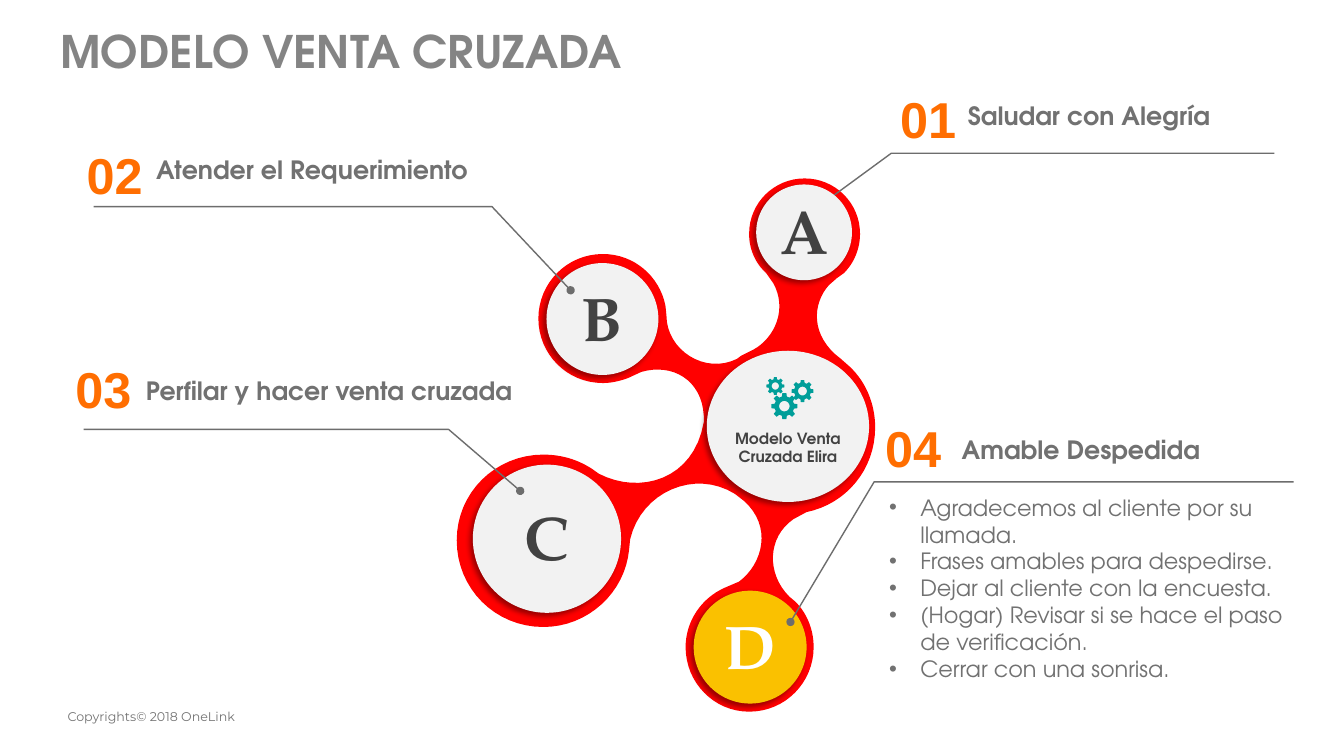
from math import cos, pi, sin

from lxml import etree
from pptx import Presentation
from pptx.dml.color import RGBColor
from pptx.enum.shapes import MSO_SHAPE
from pptx.enum.text import MSO_ANCHOR, PP_ALIGN
from pptx.oxml.ns import qn
from pptx.util import Inches, Pt

OVAL = MSO_SHAPE.OVAL
TOP, MIDDLE = MSO_ANCHOR.TOP, MSO_ANCHOR.MIDDLE
LEFT, CENTER = PP_ALIGN.LEFT, PP_ALIGN.CENTER

RED = RGBColor(0xFF, 0x00, 0x00)
PALE = RGBColor(0xF2, 0xF2, 0xF2)
GOLD = RGBColor(0xFA, 0xC1, 0x00)
WHITE = RGBColor(0xFF, 0xFF, 0xFF)
DARK = RGBColor(0x42, 0x42, 0x42)
ORANGE = RGBColor(0xFF, 0x6E, 0x01)
GRAY = RGBColor(0x71, 0x71, 0x71)
HEAD = RGBColor(0x84, 0x84, 0x84)
FOOT = RGBColor(0x73, 0x73, 0x73)
RULE = RGBColor(0x6D, 0x6D, 0x6D)
TEAL = RGBColor(0x00, 0x9E, 0x99)

SANS, SERIF = "TeX Gyre Adventor", "TeX Gyre Pagella"
INSETS = (0.1, 0.05, 0.1, 0.05)

# Outline of the arms: two numbers make a line, six a Bézier curve.
ARMS = [
    (3.98, 0.77), (4.28, 0.77, 4.53, 1.01, 4.53, 1.32),
    (4.53, 1.47, 4.47, 1.61, 4.37, 1.71), (4.3, 1.76), (4.22, 1.83),
    (4.06, 2.01, 4.03, 2.33, 4.34, 2.56), (4.43, 2.64),
    (4.59, 2.79, 4.68, 3.01, 4.68, 3.24), (4.68, 3.66, 4.39, 4, 4, 4.08),
    (3.87, 4.15), (3.61, 4.33, 3.6, 4.69, 3.83, 4.92), (3.89, 4.97),
    (4, 5.08, 4.07, 5.24, 4.07, 5.42), (4.07, 5.77, 3.79, 6.06, 3.43, 6.06),
    (3.08, 6.06, 2.8, 5.77, 2.8, 5.42), (2.8, 5.16, 2.96, 4.93, 3.19, 4.83),
    (3.33, 4.77), (3.57, 4.59, 3.66, 4.22, 3.38, 3.97), (3.29, 3.9),
    (2.89, 3.65, 2.36, 3.88, 2.25, 4.35), (2.24, 4.45),
    (2.2, 4.88, 1.83, 5.22, 1.39, 5.22), (0.91, 5.22, 0.53, 4.84, 0.53, 4.36),
    (0.53, 3.89, 0.91, 3.51, 1.39, 3.51), (1.57, 3.51, 1.73, 3.56, 1.87, 3.65),
    (1.94, 3.7), (2.35, 3.91, 2.88, 3.76, 2.98, 3.19), (2.98, 3.12),
    (2.96, 2.77, 2.67, 2.6, 2.36, 2.69), (2.23, 2.75),
    (2.15, 2.78, 2.06, 2.8, 1.98, 2.8), (1.62, 2.8, 1.34, 2.51, 1.34, 2.16),
    (1.34, 1.81, 1.62, 1.52, 1.98, 1.52), (2.29, 1.52, 2.54, 1.74, 2.6, 2.03),
    (2.61, 2.13), (2.61, 2.47, 2.99, 2.72, 3.31, 2.56), (3.35, 2.53),
    (3.47, 2.47), (3.69, 2.35, 3.81, 2.06, 3.67, 1.81), (3.6, 1.71),
    (3.49, 1.61, 3.43, 1.47, 3.43, 1.32), (3.43, 1.01, 3.68, 0.77, 3.98, 0.77),
]
DISCS = [
    ("A", 3.5, 0.83, 0.95, PALE, DARK),
    ("B", 1.42, 1.61, 1.11, PALE, DARK),
    ("C", 0.69, 3.61, 1.47, PALE, DARK),
    ("D", 2.88, 4.86, 1.12, GOLD, WHITE),
]
GEARS = [(0.68, 0.35, 0.09), (0.95, 0.4, 0.11), (0.77, 0.55, 0.13)]
# Corner, number, caption, caption box, then tip, bend and end of the line.
STEPS = [
    (8.83, 0.83, "01", "Saludar con Alegría", (0.67, 0.12, 2.81),
     [(-0.74, 1.24), (0.01, 0.69), (3.81, 0.69)]),
    (0.76, 1.38, "02", "Atender el Requerimiento", (0.69, 0.1, 3.32),
     [(4.9, 1.5), (4.12, 0.67), (0.17, 0.67)]),
    (0.65, 3.5, "03", "Perfilar y hacer venta cruzada", (0.7, 0.17, 4.33),
     [(4.51, 1.37), (3.8, 0.76), (0.18, 0.76)]),
    (8.68, 4.09, "04", "Amable Despedida", (0.76, 0.17, 3.15),
     [(-0.84, 2.08), (-0.01, 0.69), (4.15, 0.69)]),
]
TASKS = [
    "Agradecemos al cliente por su llamada.",
    "Frases amables para despedirse.",
    "Dejar al cliente con la encuesta.",
    "(Hogar) Revisar si se hace el paso de verificación.",
    "Cerrar con una sonrisa.",
]


def write(shape, text, size, color, font=SANS, bold=True, align=LEFT,
          anchor=TOP, insets=INSETS, bullet=False, space=None):
    frame = shape.text_frame
    frame.word_wrap = True
    frame.vertical_anchor = anchor
    (frame.margin_left, frame.margin_top,
     frame.margin_right, frame.margin_bottom) = map(Inches, insets)
    frame.text = text
    for para in frame.paragraphs:
        if bullet:
            props = para._p.get_or_add_pPr()
            props.set("marL", str(Inches(0.31)))
            props.set("indent", str(-Inches(0.31)))
            etree.SubElement(props, qn("a:buFont"), typeface="Arial")
            etree.SubElement(props, qn("a:buChar"), char="•")
        para.alignment = align
        if space:
            para.line_spacing = space
        for run in para.runs:
            run.font.name, run.font.size = font, Pt(size)
            run.font.bold = bold
            run.font.color.rgb = color


def label(slide, x, y, w, h, text, size, color, **style):
    box = slide.shapes.add_textbox(Inches(x), Inches(y), Inches(w), Inches(h))
    write(box, text, size, color, **style)


def outline(slide, x, y, rings, closed=True):
    rings = [[(Inches(x + px), Inches(y + py)) for px, py in ring]
             for ring in rings]
    pen = slide.shapes.build_freeform(*rings[0][0])
    for i, ring in enumerate(rings):
        if i:
            pen.move_to(*ring[0])
        pen.add_line_segments(ring[1:], close=closed)
    shape = pen.convert_to_shape()
    shape.shadow.inherit = False
    return shape


def paint(shape, color):
    shape.fill.solid()
    shape.fill.fore_color.rgb = color
    shape.line.fill.background()


def flatten(track, steps=16):
    """Turn lines and Bézier curves into a list of points."""
    points = [track[0]]
    for part in track[1:]:
        if len(part) == 2:
            points.append(part)
            continue
        knots = [points[-1], part[:2], part[2:4], part[4:]]
        for i in range(1, steps + 1):
            t = i / steps
            mix = ((1 - t) ** 3, 3 * t * (1 - t) ** 2, 3 * t * t * (1 - t), t ** 3)
            points.append(tuple(sum(m * k[axis] for m, k in zip(mix, knots))
                                for axis in (0, 1)))
    return points


def disc(slide, x, y, w, h, fill):
    shape = slide.shapes.add_shape(OVAL, Inches(x), Inches(y), Inches(w), Inches(h))
    paint(shape, fill)
    shape.shadow.inherit = False
    effects = shape._element.spPr.find(qn("a:effectLst"))
    shade = etree.SubElement(effects, qn("a:outerShdw"), blurRad=str(Pt(4)),
                             dist=str(Pt(3)), dir=str(135 * 60000),
                             algn="tr", rotWithShape="0")
    tint = etree.SubElement(shade, qn("a:srgbClr"), val="000000")
    etree.SubElement(tint, qn("a:alpha"), val="40000")
    return shape


def gear(slide, x, y, size, teeth=8):
    def spot(radius, turn):
        return radius * cos(2 * pi * turn), radius * sin(2 * pi * turn)

    rim = [spot(size * reach, (i + shift) / teeth) for i in range(teeth)
           for shift, reach in ((-0.32, 0.76), (-0.2, 1), (0.2, 1), (0.32, 0.76))]
    hole = [spot(size * 0.4, i / 24) for i in range(24)]
    paint(outline(slide, x, y, [rim, hole]), TEAL)


def hub(slide, x, y):
    shape = disc(slide, x, y, 1.61, 1.5, PALE)
    write(shape, "Modelo Venta Cruzada Elira", 11, DARK, align=CENTER,
          anchor=MIDDLE, insets=(0.02, 0.52, 0.02, 0.1))
    for dx, dy, size in GEARS:
        gear(slide, x + dx, y + dy, size)


def callout(slide, x, y, number, caption, place, line):
    rule = outline(slide, x, y, [line], closed=False)
    rule.fill.background()
    rule.line.color.rgb = RULE
    rule.line.width = Pt(1)
    stroke = rule._element.spPr.find(qn("a:ln"))
    etree.SubElement(stroke, qn("a:headEnd"), type="oval")
    label(slide, x, y, 0.81, 0.57, number, 36, ORANGE, font="Arial")
    dx, dy, w = place
    label(slide, x + dx, y + dy, w, 0.4, caption, 18, GRAY)


def diagram(slide, x, y):
    paint(outline(slide, x, y, [flatten(ARMS)]), RED)
    callout(slide, *STEPS[0])  # its tip lies under disc A
    for letter, dx, dy, size, fill, ink in DISCS:
        shape = disc(slide, x + dx, y + dy, size, size, fill)
        write(shape, letter, 44, ink, font=SERIF, align=CENTER,
              anchor=MIDDLE, insets=(0.02, 0.05, 0.02, 0.1))
    for step in STEPS[1:]:
        callout(slide, *step)
    hub(slide, x + 3.01, y + 2.48)


def heading(slide, x, y, w, h):
    title = slide.shapes.title
    title.left, title.top, title.width, title.height = map(Inches, (x, y, w, h))
    write(title, "MODELO VENTA CRUZADA", 32, HEAD, anchor=MIDDLE, space=0.9)


def main():
    deck = Presentation()
    deck.slide_width, deck.slide_height = Inches(13.33), Inches(7.5)
    slide = deck.slides.add_slide(deck.slide_layouts[5])
    heading(slide, 0.5, 0.09, 12.33, 0.9)
    diagram(slide, 4, 1)
    label(slide, 8.72, 4.85, 4.34, 2.6, "\n".join(TASKS), 16, GRAY,
          bold=False, bullet=True)
    label(slide, 0.54, 7.02, 3.71, 0.18, "Copyrights© 2018 OneLink", 9, FOOT,
          font="Montserrat", bold=False, anchor=MIDDLE,
          insets=(0.13, 0.07, 0.13, 0.07))
    deck.save("out.pptx")


if __name__ == "__main__":
    main()
